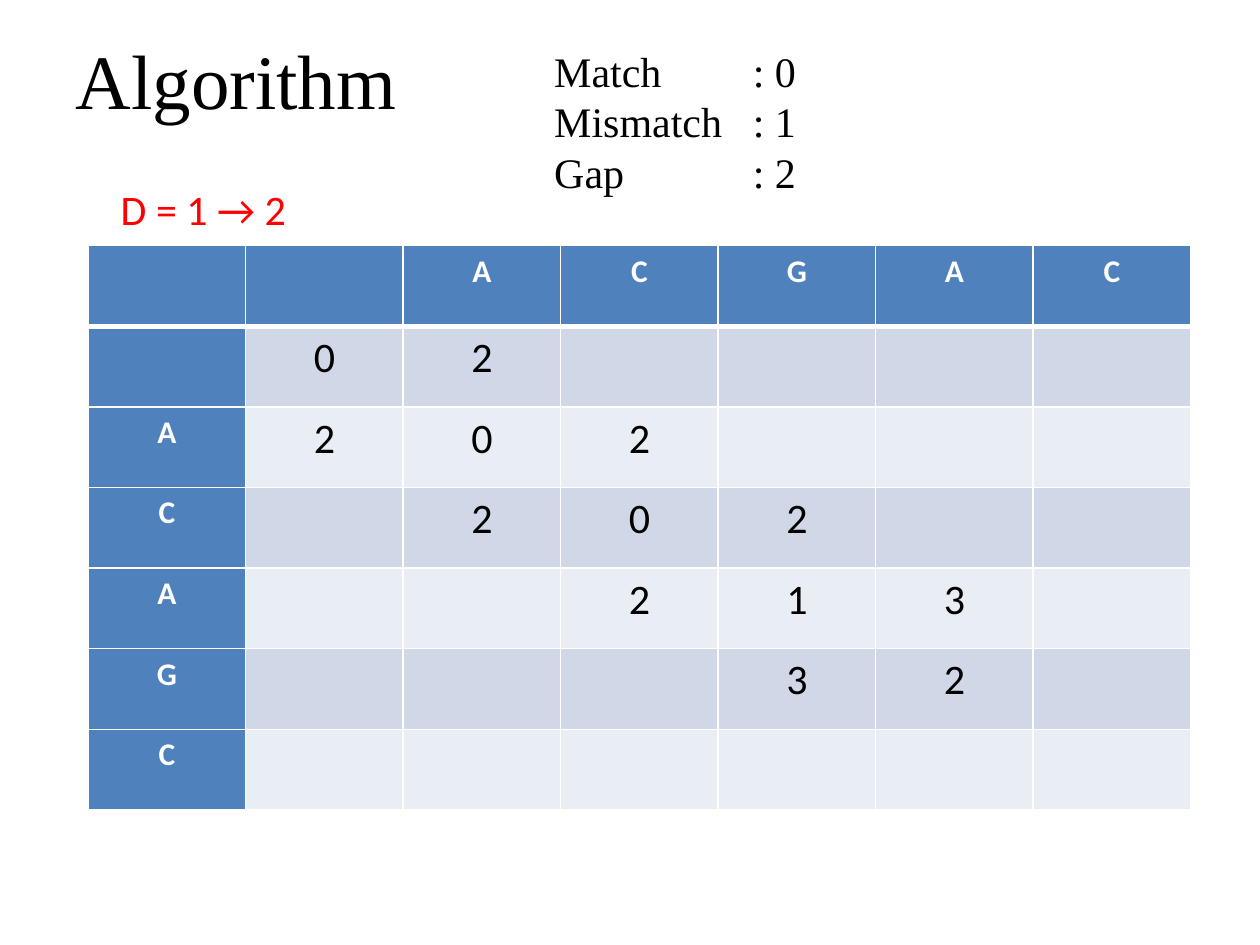
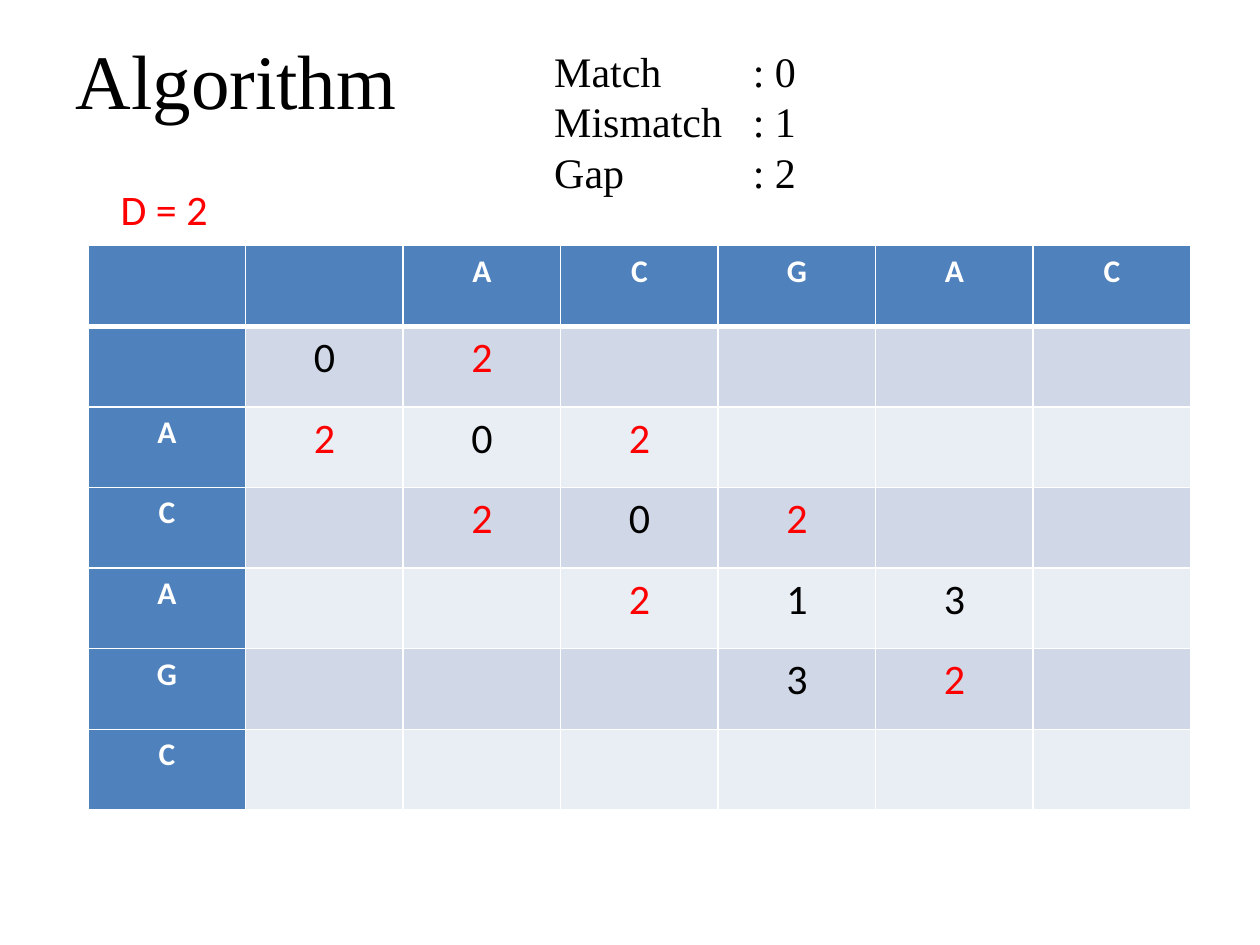
from dataclasses import dataclass
from typing import Any, Optional

import pptx
import pptx.dml.color
import pptx.enum.text
import pptx.oxml
import pptx.oxml.ns
import pptx.util

Pt = pptx.util.Pt
RGB = pptx.dml.color.RGBColor
ALIGN = pptx.enum.text.PP_ALIGN
ANCHOR = pptx.enum.text.MSO_ANCHOR
AUTO_SIZE = pptx.enum.text.MSO_AUTO_SIZE


# Type styles, colours and slide content
@dataclass(frozen=True)
class TextStyle:
    font: str
    size: float
    color: str
    bold: bool = False


@dataclass(frozen=True)
class Theme:
    title = TextStyle("Times New Roman", 44, "000000")
    scoring = TextStyle("Times New Roman", 24, "000000")
    distance = TextStyle("Calibri", 24, "FF0000")
    base = TextStyle("Calibri", 18, "FFFFFF", True)
    score = TextStyle("Calibri", 24, "000000")
    marked_score = TextStyle("Calibri", 24, "FF0000")
    header_fill: str = "4F81BD"
    band_fills: tuple[str, str] = ("D0D8E8", "E9EDF4")
    border: str = "FFFFFF"
    border_width: float = 1
    header_rule_width: float = 3


@dataclass(frozen=True)
class Box:
    left: float
    top: float
    width: float
    height: float

    def lengths(self) -> list[int]:
        return [Pt(v) for v in (self.left, self.top, self.width, self.height)]


@dataclass(frozen=True)
class AlgorithmStep:
    distance: str
    distance_width: float
    marked: Optional[str] = None


THEME = Theme()
TITLE_BOX = Box(36, 0, 648, 90)
SCORING_BOX = Box(309.6, 22.3, 236.2, 94.3)
SCORING_TAB = 113.5
GRID_LEFT, GRID_TOP, COLUMN_WIDTH, ROW_HEIGHT = 50.4, 140.4, 90, 46.08

SCORING = (("Match", 0), ("Mismatch", 1), ("Gap", 2))
TOP_SEQUENCE = "ACGAC"
SIDE_SEQUENCE = "ACAGC"
# One row per prefix of the side sequence; a dot is an empty cell
SCORES = ("02....", "202...", ".202..", "..213.", "...32.", "......")
STEPS = (
    AlgorithmStep("D = 1 → 2", 109.4),
    AlgorithmStep("D = 2", 69.8, marked="2"),
)


# Text helpers
def apply_formats(target: Any, formats: dict[str, Any]) -> None:
    for name, value in formats.items():
        setattr(target, name, value)


def write(paragraph: Any, text: str, style: TextStyle, align: Any = ALIGN.LEFT) -> None:
    paragraph.alignment = align
    run = paragraph.add_run()
    run.text = text
    apply_formats(run.font, {"name": style.font, "size": Pt(style.size), "bold": style.bold})
    run.font.color.rgb = RGB.from_string(style.color)


def add_text(slide: Any, box: Box, lines: list[str], style: TextStyle,
             wrap: bool, tab: Optional[float] = None) -> None:
    frame = slide.shapes.add_textbox(*box.lengths()).text_frame
    apply_formats(frame, {"word_wrap": wrap, "auto_size": AUTO_SIZE.SHAPE_TO_FIT_TEXT})
    for index, line in enumerate(lines):
        paragraph = frame.add_paragraph() if index else frame.paragraphs[0]
        if tab is not None:
            tabs = pptx.oxml.parse_xml(
                f'<a:tabLst {pptx.oxml.ns.nsdecls("a")}>'
                f'<a:tab pos="{Pt(tab)}" algn="l"/></a:tabLst>')
            paragraph._p.get_or_add_pPr().append(tabs)
        write(paragraph, line, style)


def add_title(slide: Any, text: str) -> None:
    title = slide.shapes.title
    left, top, width, height = TITLE_BOX.lengths()
    apply_formats(title, {"left": left, "top": top, "width": width, "height": height})
    title.text_frame.vertical_anchor = ANCHOR.MIDDLE
    write(title.text_frame.paragraphs[0], text, THEME.title)


# Alignment grid
def set_borders(cell: Any, row: int) -> None:
    widths = dict.fromkeys("LRTB", THEME.border_width)
    if row == 0:
        widths["B"] = THEME.header_rule_width
    elif row == 1:
        widths["T"] = THEME.header_rule_width
    properties = cell._tc.get_or_add_tcPr()
    for side, width in widths.items():
        properties.append(pptx.oxml.parse_xml(
            f'<a:ln{side} {pptx.oxml.ns.nsdecls("a")} w="{Pt(width)}"><a:solidFill>'
            f'<a:srgbClr val="{THEME.border}"/></a:solidFill></a:ln{side}>'))


def format_cell(cell: Any, row: int, column: int, text: str, marked: Optional[str]) -> None:
    if row == 0 or column == 0:
        style, fill = THEME.base, THEME.header_fill
    else:
        style = THEME.marked_score if text == marked else THEME.score
        fill = THEME.band_fills[(row - 1) % 2]
    set_borders(cell, row)
    cell.fill.solid()
    cell.fill.fore_color.rgb = RGB.from_string(fill)
    if text:
        write(cell.text_frame.paragraphs[0], text, style, ALIGN.CENTER)


def add_grid(slide: Any, marked: Optional[str]) -> None:
    rows = [["", "", *TOP_SEQUENCE]]
    for base, scores in zip(["", *SIDE_SEQUENCE], SCORES):
        rows.append([base, *scores.replace(".", " ")])
    row_count, column_count = len(rows), len(rows[0])
    box = Box(GRID_LEFT, GRID_TOP, COLUMN_WIDTH * column_count, ROW_HEIGHT * row_count)
    grid = slide.shapes.add_table(row_count, column_count, *box.lengths()).table
    grid.first_col = True
    for grid_row in grid.rows:
        grid_row.height = Pt(ROW_HEIGHT)
    for row, texts in enumerate(rows):
        for column, text in enumerate(texts):
            format_cell(grid.cell(row, column), row, column, text.strip(), marked)


# Slides
def add_step(deck: Any, step: AlgorithmStep) -> None:
    slide = deck.slides.add_slide(deck.slide_layouts[5])
    add_title(slide, "Algorithm")
    scoring_lines = [f"{name}\t: {cost}" for name, cost in SCORING]
    add_text(slide, SCORING_BOX, scoring_lines, THEME.scoring, wrap=True, tab=SCORING_TAB)
    add_grid(slide, step.marked)
    distance_box = Box(61.9, 101.5, step.distance_width, 36)
    add_text(slide, distance_box, [step.distance], THEME.distance, wrap=False)


def main() -> None:
    deck = pptx.Presentation()
    apply_formats(deck, {"slide_width": Pt(720), "slide_height": Pt(540)})
    for step in STEPS:
        add_step(deck, step)
    deck.save("out.pptx")


if __name__ == "__main__":
    main()
